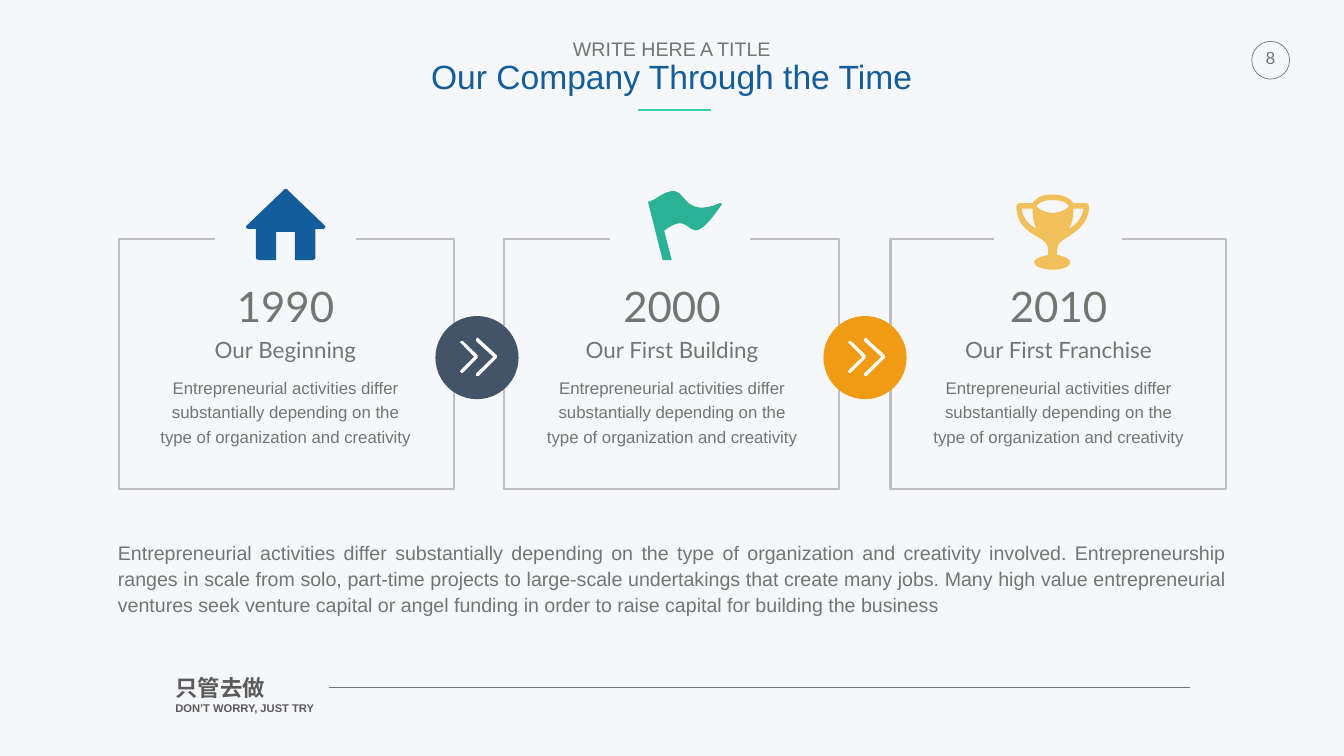
from dataclasses import dataclass

from lxml import etree
from pptx import Presentation
from pptx import util as u
from pptx.dml.color import RGBColor
from pptx.enum import shapes, text
from pptx.oxml import ns

COLORS = {
    "page": "F6F7FA", "body": "737572", "slogan": "5B5B5B", "frame": "BFBFBF",
    "blue": "135D9A", "green": "2BB294", "gold": "F1C05A", "navy": "445468",
    "orange": "F19A14", "white": "FFFFFF", "accent": "33D1AD",
}
CARD_TOP, CARD_WIDTH, CARD_HEIGHT = 4.74, 6.65, 4.97
TEXT_LEFT, TEXT_PITCH, TEXT_WIDTH = 3.1, 7.67, 5.13
BADGE_TOP, BADGE_SIZE = 6.27, 1.65
CARD_TEXT = ("Entrepreneurial activities differ substantially depending on "
             "the type of organization and creativity")
SUMMARY = (
    "Entrepreneurial activities differ substantially depending on the type of "
    "organization and creativity involved. Entrepreneurship ranges in scale from "
    "solo, part-time projects to large-scale undertakings that create many jobs. "
    "Many high value entrepreneurial ventures seek venture capital or angel funding "
    "in order to raise capital for building the business"
)

HOUSE = [[
    (1.57, .74), (.85, .05), (.82, -.01, .76, -.01, .73, .05), (.01, .74),
    (-.02, .76, .01, .8, .04, .8), (.2, .8), (.2, 1.36),
    (.2, 1.39, .2, 1.42, .26, 1.42), (.6, 1.42), (.6, .86), (.97, .86),
    (.97, 1.42), (1.32, 1.42), (1.38, 1.42, 1.38, 1.39, 1.38, 1.36),
    (1.38, .8), (1.54, .8), (1.57, .8, 1.6, .76, 1.57, .74),
]]
FLAG = [[
    (1.43, .24), (.5, .62, .88, -.37, .14, .16), (0, .22), (.29, 1.37),
    (.47, 1.37), (.32, .79), (.97, .27, .7, 1.37, 1.46, .27),
    (1.49, .27, 1.46, .24, 1.43, .24),
]]
TROPHY = [
    [(.81, 1.09), (.81, .97, .89, .91, 1.04, .83), (1.21, .71, 1.44, .57, 1.44, .23),
     (1.44, .2, 1.41, .17, 1.39, .17), (1.13, .17), (1.07, .08, .95, 0, .72, 0),
     (.49, 0, .38, .08, .32, .17), (.06, .17), (.03, .17, 0, .2, 0, .23),
     (0, .57, .2, .71, .4, .83), (.55, .91, .63, .97, .63, 1.09), (.63, 1.2),
     (.46, 1.23, .35, 1.29, .35, 1.34), (.35, 1.43, .52, 1.49, .72, 1.49),
     (.92, 1.49, 1.07, 1.43, 1.07, 1.34), (1.07, 1.29, .98, 1.23, .81, 1.2), (.81, 1.09)],
    [(1.04, .68), (1.1, .6, 1.13, .46, 1.13, .28), (1.33, .28),
     (1.3, .48, 1.18, .6, 1.04, .68)],
    [(.72, .11), (.95, .11, 1.04, .2, 1.04, .23), (1.04, .25, .95, .34, .72, .37),
     (.49, .34, .4, .25, .4, .23), (.4, .2, .49, .11, .72, .11)],
    [(.11, .28), (.32, .28), (.32, .46, .35, .6, .4, .68),
     (.26, .6, .11, .48, .11, .28)],
]
CHEVRONS = [
    [(.73, .35), (.37, .02), (.37, -.01, .35, -.01, .32, .02), (.32, .02, .32, .04, .32, .07),
     (.66, .38), (.32, .71), (.32, .73, .32, .73, .32, .76), (.35, .76, .37, .76, .37, .76),
     (.73, .4), (.73, .4, .73, .4, .73, .38), (.73, .38, .73, .38, .73, .35)],
    [(.35, .38), (.35, .38, .35, .38, .35, .35), (.06, .07), (.04, .07, .02, .07, .02, .07),
     (-.01, .09, -.01, .11, .02, .11), (.28, .38), (.02, .64),
     (-.01, .66, -.01, .69, .02, .69), (.02, .71, .04, .71, .06, .69),
     (.35, .4), (.35, .4, .35, .4, .35, .38)],
]


@dataclass
class Icon:
    contours: list
    frame: tuple
    color: str


@dataclass
class Card:
    left: float
    year: str
    heading: str
    gap: tuple
    icon: Icon


@dataclass
class Line:
    content: str
    size: int
    color: str = "body"
    font: str = "Arial"
    bold: bool = False


CARDS = [
    Card(2.36, "1990", "Our Beginning", (4.27, 3.52, 2.79, 1.98),
         Icon(HOUSE, (4.88, 3.74, 1.58, 1.42), "blue")),
    Card(10, "2000", "Our First Building", (12.1, 3.52, 2.79, 1.98),
         Icon(FLAG, (12.86, 3.79, 1.48, 1.37), "green")),
    Card(17.67, "2010", "Our First Franchise", (19.73, 3.44, 2.54, 1.98),
         Icon(TROPHY, (20.17, 3.86, 1.44, 1.49), "gold")),
]


def inch(value: float) -> u.Length:
    return u.Cm(value * 2.54)


def rgb(name: str) -> RGBColor:
    return RGBColor.from_string(COLORS[name])


def finish(shape, fill: str = "", line: str = "", weight: float = 1):
    shape.shadow.inherit = False
    if fill:
        shape.fill.solid()
        shape.fill.fore_color.rgb = rgb(fill)
    else:
        shape.fill.background()
    if line:
        shape.line.color.rgb = rgb(line)
        shape.line.width = u.Pt(weight)
    else:
        shape.line.fill.background()


def add_preset(canvas, kind, frame: tuple, fill: str = "", line: str = "", weight: float = 1):
    finish(canvas.add_shape(kind, *map(inch, frame)), fill, line, weight)


def add_segment(outline, tag: str, values: tuple):
    segment = etree.SubElement(outline, ns.qn(tag))
    for x, y in zip(values[::2], values[1::2]):
        etree.SubElement(segment, ns.qn("a:pt"), x=str(int(inch(x))), y=str(int(inch(y))))


def add_icon(canvas, icon: Icon):
    left, top, width, height = map(inch, icon.frame)
    builder = canvas.build_freeform(left, top, scale=1.0)
    builder.add_line_segments([(left + width, top + height)], close=True)
    shape = builder.convert_to_shape()
    outline = next(shape._element.iter(ns.qn("a:path")))
    for child in list(outline):
        outline.remove(child)
    for start, *segments in icon.contours:
        add_segment(outline, "a:moveTo", start)
        for values in segments:
            add_segment(outline, "a:lnTo" if len(values) == 2 else "a:cubicBezTo", values)
        etree.SubElement(outline, ns.qn("a:close"))
    finish(shape, icon.color)


def add_text(canvas, frame: tuple, lines: list, align=text.PP_ALIGN.CENTER,
             spacing: float = 1.0, inset: float = 0.05, wrap: bool = True,
             anchor=text.MSO_ANCHOR.TOP):
    box = canvas.add_textbox(*map(inch, frame)).text_frame
    box.word_wrap = wrap
    box.auto_size = text.MSO_AUTO_SIZE.SHAPE_TO_FIT_TEXT
    box.vertical_anchor = anchor
    box.margin_left = box.margin_right = box.margin_top = box.margin_bottom = inch(inset)
    for index, line in enumerate(lines):
        para = box.add_paragraph() if index else box.paragraphs[0]
        para.text = line.content
        para.alignment = align
        para.line_spacing = spacing
        para.font.name = line.font
        para.font.size = u.Pt(line.size)
        para.font.bold = line.bold
        para.font.color.rgb = rgb(line.color)


def add_rule(canvas, start: float, end: float, top: float, color: str, weight: float):
    rule = canvas.add_connector(shapes.MSO_CONNECTOR.STRAIGHT, *map(inch, (start, top, end, top)))
    rule.line.color.rgb = rgb(color)
    rule.line.width = u.Pt(weight)
    etree.SubElement(rule._element.spPr, ns.qn("a:effectLst"))


def add_badge(canvas, left: float, color: str):
    group = canvas.add_group_shape().shapes
    add_preset(group, shapes.MSO_SHAPE.OVAL, (left, BADGE_TOP, BADGE_SIZE, BADGE_SIZE), fill=color)
    add_icon(group, Icon(CHEVRONS, (left + 0.49, BADGE_TOP + 0.43, 0.73, 0.76), "white"))


def add_card_text(canvas, card: Card, left: float):
    for top, height, spacing, line in (
        (6.62, 0.63, 1.0, Line(card.heading, 32, font="Lato")),
        (7.37, 1.47, 1.2, Line(CARD_TEXT, 24)),
        (5.51, 1.1, 1.0, Line(card.year, 60, font="Lato")),
    ):
        add_text(canvas, (left, top, TEXT_WIDTH, height), [line], spacing=spacing)


def main():
    deck = Presentation()
    deck.slide_width, deck.slide_height = inch(26.67), inch(15)
    page = deck.slides.add_slide(deck.slide_layouts[6])
    page.background.fill.solid()
    page.background.fill.fore_color.rgb = rgb("page")
    canvas = page.shapes

    add_preset(canvas, shapes.MSO_SHAPE.OVAL, (24.84, 0.82, 0.75, 0.75), line="body")
    add_text(canvas, (3.43, 13.33, 3.99, 0.99),
             [Line("只管去做", 32, "slogan", bold=True),
              Line("DON’T WORRY, JUST TRY", 16, "slogan", bold=True)], text.PP_ALIGN.LEFT)
    add_rule(canvas, 6.52, 23.62, 13.64, "body", 0.25)
    add_text(canvas, (24.92, 0.85, 0.58, 0.6), [Line("8", 24, font="Lato")], inset=0.1, wrap=False)

    for card in CARDS:
        add_preset(canvas, shapes.MSO_SHAPE.RECTANGLE,
                   (card.left, CARD_TOP, CARD_WIDTH, CARD_HEIGHT), line="frame", weight=3)
    for left, color in ((8.64, "navy"), (16.34, "orange")):
        add_badge(canvas, left, color)
    for index, card in enumerate(CARDS):
        add_card_text(canvas, card, TEXT_LEFT + index * TEXT_PITCH)
        add_preset(canvas, shapes.MSO_SHAPE.RECTANGLE, card.gap, fill="page")
        add_icon(canvas, card.icon)

    add_rule(canvas, 14.11, 12.67, 2.18, "accent", 3)
    add_text(canvas, (8.5, 0.74, 9.66, 1.33),
             [Line("WRITE HERE A TITLE", 28), Line("Our Company Through the Time", 48, "blue")],
             spacing=0.9, wrap=False)
    add_text(canvas, (2.34, 10.71, 21.97, 1.51), [Line(SUMMARY, 28)], text.PP_ALIGN.JUSTIFY,
             spacing=1.1, inset=0, anchor=text.MSO_ANCHOR.MIDDLE)
    deck.save("out.pptx")


if __name__ == "__main__":
    main()
